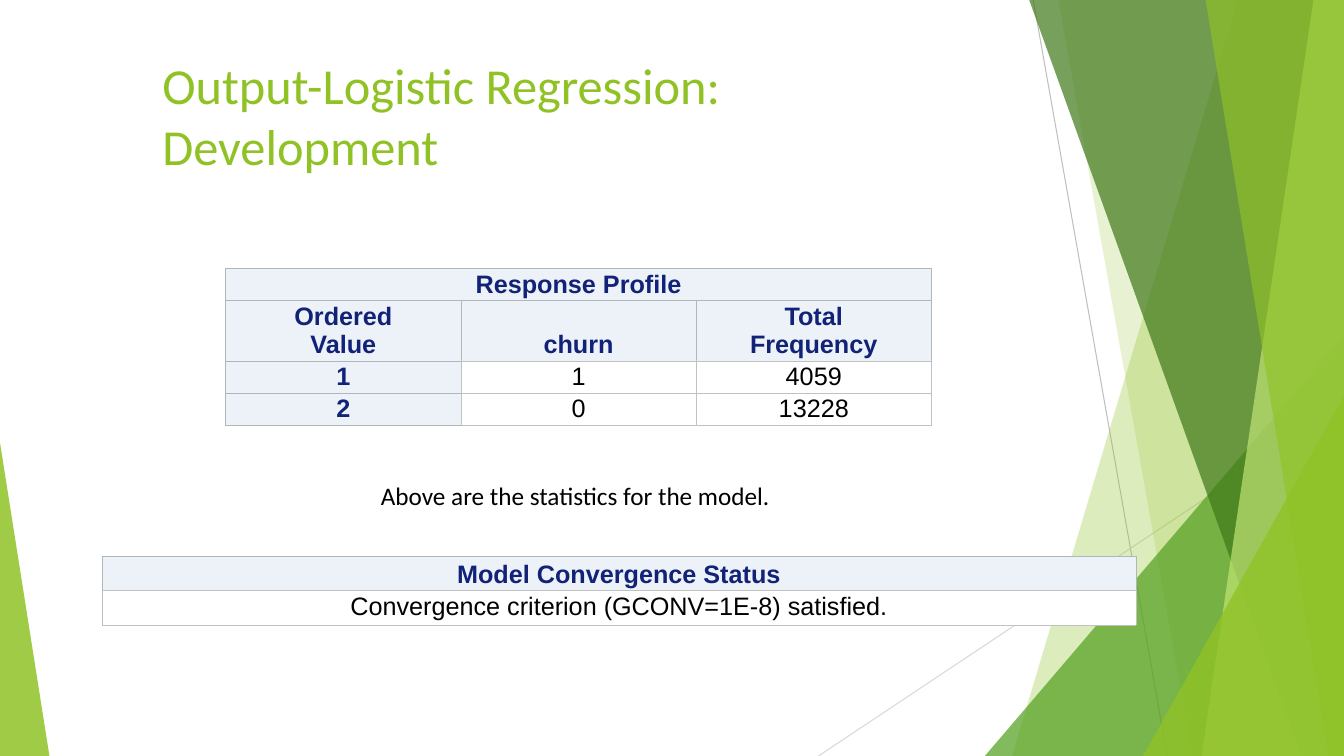
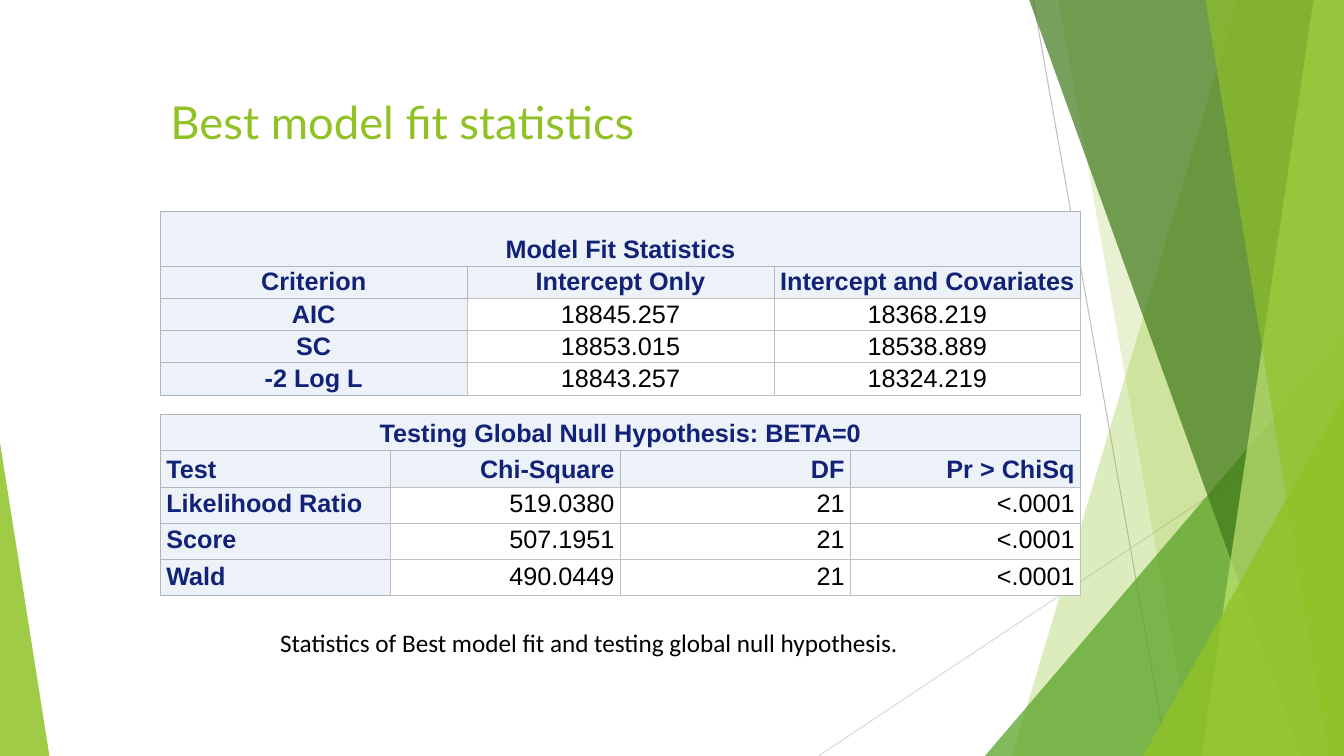
from lxml.etree import SubElement as sub
from pptx import Presentation
from pptx.dml.color import RGBColor
from pptx.enum.shapes import MSO_CONNECTOR as LINK, MSO_SHAPE as SHAPE
from pptx.enum.text import MSO_ANCHOR as ANCHOR, MSO_AUTO_SIZE as FIT, PP_ALIGN as ALIGN
from pptx.oxml import parse_xml
from pptx.oxml.ns import nsdecls, qn
from pptx.util import Inches, Pt

WIDE, HIGH = Inches(13.33), Inches(7.5)
LIME, GREEN, MOSS, PALE = "90C226", "54A021", "3F7819", "C0E474"
NAVY, BLACK, WHITE, ICE = "112277", "000000", "FFFFFF", "EDF2F9"
STEEL, GREY, MIST, FOG = "B0B7BB", "C1C1C1", "BFBFBF", "D9D9D9"
SIDES = {"l": ALIGN.LEFT, "c": ALIGN.CENTER, "r": ALIGN.RIGHT}


def hue(code):
    return RGBColor.from_string(code)


def across(cols):
    """Length of a number of columns; the slide is 100 columns wide."""
    return round(WIDE * cols / 100)


def down(rows):
    """Length of a number of rows; the slide is 100 rows high."""
    return round(HIGH * rows / 100)


def area(left, top, wide, high):
    return across(left), down(top), across(wide), down(high)


def write(para, text, size, font, color, bold=False, side="l"):
    """Add text to a paragraph, one run for each line."""
    para.alignment = SIDES[side]
    for num, line in enumerate(text.split("\n")):
        if num:
            para.add_line_break()
        run = para.add_run()
        run.text = line
        run.font.size = Pt(size)
        run.font.name = font
        run.font.bold = bold
        run.font.color.rgb = hue(color)


def tint(shape, color, solid):
    """Fill a shape with a colour that is solid by the given percentage."""
    shape.shadow.inherit = False
    shape.fill.solid()
    shape.fill.fore_color.rgb = hue(color)
    clr = shape.element.find(".//" + qn("a:srgbClr"))
    sub(clr, qn("a:alpha"), val=str(solid * 1000))
    shape.line.fill.background()


def band(slide, top, foot, color, solid):
    """Full-height panel from a slanted left edge to the slide's right edge."""
    pen = slide.shapes.build_freeform(across(top), 0)
    pen.add_line_segments([(WIDE, 0), (WIDE, HIGH), (across(foot), HIGH)])
    tint(pen.convert_to_shape(), color, solid)


def wedge(slide, left, top, wide, tip, color, solid):
    """Triangle on the slide's foot; tip is 0 for left and 1 for right."""
    box = area(left, top, wide, 100 - top)
    shape = slide.shapes.add_shape(SHAPE.ISOSCELES_TRIANGLE, *box)
    shape.adjustments[0] = tip
    tint(shape, color, solid)


def ray(slide, left, top, right, foot, color):
    line = slide.shapes.add_connector(
        LINK.STRAIGHT, across(left), down(top), across(right), down(foot))
    line.line.width = Pt(0.75)
    line.line.color.rgb = hue(color)
    sub(line.element.spPr, qn("a:effectLst"))


def decor(slide, layout):
    """Draw the facets, then move them to the layout that all slides share."""
    ray(slide, 76.88, 0, 86.85, 100, MIST)
    ray(slide, 100, 53.73, 60.9, 100, FOG)
    band(slide, 92.1, 75.3, LIME, 30)
    band(slide, 78.75, 88.73, LIME, 20)
    wedge(slide, 73.28, 44.4, 26.72, 1, GREEN, 72)
    band(slide, 76.58, 96.83, MOSS, 70)
    band(slide, 97.73, 89.4, PALE, 70)
    band(slide, 89.7, 98.85, LIME, 65)
    wedge(slide, 85.05, 52.4, 14.95, 1, LIME, 80)
    wedge(slide, 0, 58.53, 3.68, 0, LIME, 85)
    for num, shape in enumerate(list(slide.shapes), 50):
        if not shape.is_placeholder:
            shape.element.find(".//" + qn("p:cNvPr")).set("id", str(num))
            layout.element.cSld.spTree.append(shape.element)


def head(slide, text, box, size, font):
    title = slide.shapes.title
    title.left, title.top, title.width, title.height = area(*box)
    frame = title.text_frame
    frame.word_wrap = True
    frame.auto_size = FIT.NONE
    frame.vertical_anchor = ANCHOR.TOP
    write(frame.paragraphs[0], text, size, font, LIME)


def note(slide, text, left, top, wide):
    box = slide.shapes.add_textbox(*area(left, top, wide, 5.33))
    frame = box.text_frame
    frame.word_wrap = False
    frame.auto_size = FIT.SHAPE_TO_FIT_TEXT
    write(frame.paragraphs[0], text, 18, "Calibri", BLACK)


def edge(cell, color):
    props = cell._tc.get_or_add_tcPr()
    for num, tag in enumerate(("lnL", "lnR", "lnT", "lnB")):
        props.insert(num, parse_xml(
            f'<a:{tag} {nsdecls("a")} w="{Pt(0.5)}"><a:solidFill>'
            f'<a:srgbClr val="{color}"/></a:solidFill></a:{tag}>'))


def style(cell, label, top, pad):
    """Set a cell's look: label for tinted cells, top for heading rows."""
    cell.fill.solid()
    cell.fill.fore_color.rgb = hue(ICE if label else WHITE)
    cell.margin_left = cell.margin_right = Inches(pad)
    cell.margin_top = cell.margin_bottom = Inches(pad / 2)
    cell.vertical_anchor = ANCHOR.BOTTOM if top else ANCHOR.TOP
    edge(cell, STEEL if label else GREY)


def grid(slide, name, data, left, top, wide, highs, sides, heads=2, pad=0.04):
    """Table with a merged name row; sides has one letter for each column."""
    count = len(sides)
    shape = slide.shapes.add_table(
        len(highs), count, *area(left, top, wide, sum(highs)))
    table = shape.table
    table.first_row = table.horz_banding = False
    for row, high in zip(table.rows, highs):
        row.height = down(high)
    if count > 1:
        table.cell(0, 0).merge(table.cell(0, count - 1))
    lines = [[name] + [""] * (count - 1)] + data
    for r, line in enumerate(lines):
        for c, text in enumerate(line):
            cell = table.cell(r, c)
            label = r < heads or (c == 0 and count > 1)
            style(cell, label, r < heads, pad)
            if text:
                write(cell.text_frame.paragraphs[0], text, 18, "Arial",
                      NAVY if label else BLACK, label, sides[c] if r else "c")


def growth(slide):
    head(slide, "Output-Logistic Regression: Development",
         (11.33, 6.53, 63.38, 17.33), 36, "Calibri")
    grid(slide, "Response Profile",
         [["Ordered\nValue", "churn", "Total\nFrequency"],
          ["1", "1", "4059"],
          ["2", "0", "13228"]],
         16.8, 35.47, 52.5, [3.47, 6.67, 3.47, 3.47], "ccc")
    note(slide, "Above are the statistics for the model.", 27.6, 62.93, 30.98)
    grid(slide, "Model Convergence Status",
         [["Convergence criterion (GCONV=1E-8) satisfied."]],
         7.58, 73.6, 76.95, [4.53] * 2, "c", heads=1)


def best(slide):
    head(slide, "Best model fit statistics",
         (11.93, 11.73, 78.75, 6.53), 32.4, "Lato")
    grid(slide, "Model Fit Statistics",
         [["Criterion", "Intercept Only", "Intercept and Covariates"],
          ["AIC", "18845.257", "18368.219"],
          ["SC", "18853.015", "18538.889"],
          ["-2 Log L", "18843.257", "18324.219"]],
         11.93, 28, 68.48, [7.2] + [3.6] * 4, "ccc")
    grid(slide, "Testing Global Null Hypothesis: BETA=0",
         [["Test", "Chi-Square", "DF", "Pr > ChiSq"],
          ["Likelihood Ratio", "519.0380", "21", "<.0001"],
          ["Score", "507.1951", "21", "<.0001"],
          ["Wald", "490.0449", "21", "<.0001"]],
         11.93, 54.8, 68.48, [4.8] * 5, "lrrr", pad=0.06)
    note(slide, "Statistics of Best model fit and testing global null hypothesis.",
         20.1, 82.27, 48.08)


def main():
    deck = Presentation()
    deck.slide_width, deck.slide_height = WIDE, HIGH
    layout = deck.slide_layouts[5]
    first, second = (deck.slides.add_slide(layout) for _ in range(2))
    decor(first, layout)
    growth(first)
    best(second)
    deck.save("out.pptx")


if __name__ == "__main__":
    main()
